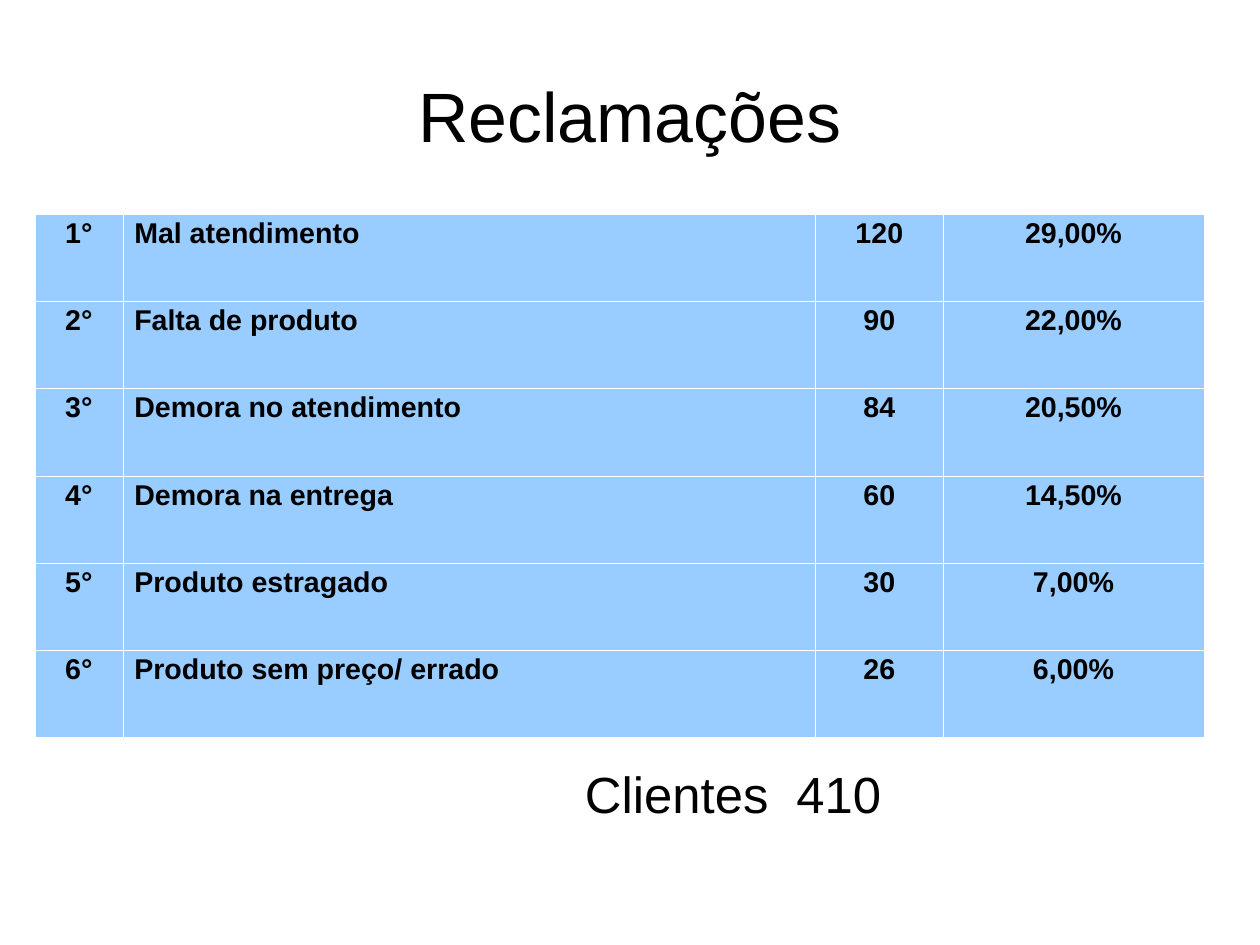
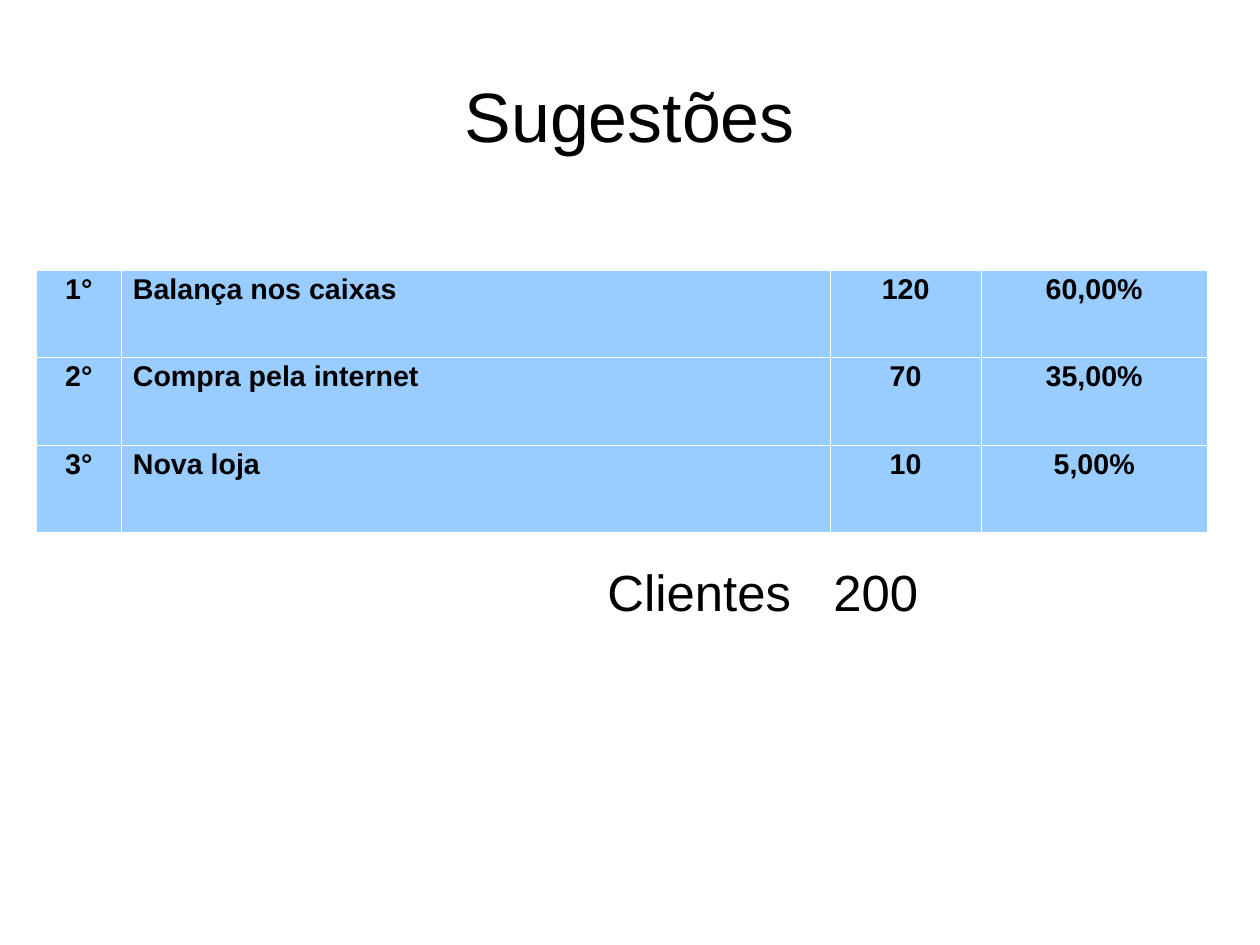
from dataclasses import dataclass

from lxml.etree import SubElement
from pptx import Presentation
from pptx.dml.color import RGBColor
from pptx.enum.text import MSO_ANCHOR, PP_ALIGN
from pptx.oxml.ns import qn
from pptx.slide import Slide
from pptx.table import _Cell
from pptx.text.text import TextFrame
from pptx.util import Cm, Pt

FONT = "Arial"
BLACK = "000000"
WHITE = "FFFFFF"
LIGHT_BLUE = "99CCFF"
SLIDE_WIDTH, SLIDE_HEIGHT = 28, 21
TITLE_LEFT, TITLE_MIDDLE = 1.4, 2.59
ROW_HEIGHT = 1.94
COLUMN_ALIGNMENTS = (PP_ALIGN.CENTER, PP_ALIGN.LEFT, PP_ALIGN.CENTER, PP_ALIGN.CENTER)


@dataclass(frozen=True)
class Entry:
    name: str
    count: int
    share: str


@dataclass(frozen=True)
class Ranking:
    """One slide; lengths are in centimetres."""
    title: str
    title_height: float
    table_left: float
    table_top: float
    column_widths: tuple[float, ...]
    entries: tuple[Entry, ...]
    total_left: float
    total_top: float
    total_tab: float


RANKINGS = (
    Ranking(
        "Reclamações", 3.25, 0.77, 4.75, (1.96, 15.39, 2.84, 5.79),
        (
            Entry("Mal atendimento", 120, "29,00%"),
            Entry("Falta de produto", 90, "22,00%"),
            Entry("Demora no atendimento", 84, "20,50%"),
            Entry("Demora na entrega", 60, "14,50%"),
            Entry("Produto estragado", 30, "7,00%"),
            Entry("Produto sem preço/ errado", 26, "6,00%"),
        ),
        11.5, 17, 4.7,
    ),
    Ranking(
        "Sugestões", 3.5, 0.8, 6, (1.9, 15.75, 3.35, 5.03),
        (
            Entry("Balança nos caixas", 120, "60,00%"),
            Entry("Compra pela internet", 70, "35,00%"),
            Entry("Nova loja", 10, "5,00%"),
        ),
        12, 12.5, 5.02,
    ),
)


def colour(value: str) -> RGBColor:
    return RGBColor.from_string(value)


def write(frame: TextFrame, text: str, *, size: float, bold: bool = False,
          align: PP_ALIGN = PP_ALIGN.LEFT, tab: float | None = None) -> None:
    """Fill the frame with one paragraph; tab is a stop in centimetres."""
    frame.word_wrap = True
    paragraph = frame.paragraphs[0]
    paragraph.text = text
    paragraph.alignment = align
    paragraph.line_spacing = 0.93
    if tab is not None:
        stops = SubElement(paragraph._p.get_or_add_pPr(), qn("a:tabLst"))
        SubElement(stops, qn("a:tab"), pos=str(Cm(tab)), algn="l")
    font = paragraph.runs[0].font
    font.name, font.size, font.bold = FONT, Pt(size), bold
    font.color.rgb = colour(BLACK)


def add_text_frame(slide: Slide, left: float, top: float, width: float, height: float,
                   *, inset_left: float = 0, inset_top: float = 0) -> TextFrame:
    frame = slide.shapes.add_textbox(Cm(left), Cm(top), Cm(width), Cm(height)).text_frame
    frame.margin_left, frame.margin_top = Cm(inset_left), Cm(inset_top)
    frame.margin_right = frame.margin_bottom = 0
    return frame


def set_borders(cell: _Cell) -> None:
    properties = cell._tc.get_or_add_tcPr()
    for side in ("lnL", "lnR", "lnT", "lnB"):
        line = SubElement(properties, qn(f"a:{side}"), w=str(Pt(0.06)))
        fill = SubElement(line, qn("a:solidFill"))
        SubElement(fill, qn("a:srgbClr"), val=WHITE)


def add_ranking_table(slide: Slide, ranking: Ranking) -> None:
    row_count = len(ranking.entries)
    table = slide.shapes.add_table(
        row_count, len(ranking.column_widths), Cm(ranking.table_left), Cm(ranking.table_top),
        Cm(sum(ranking.column_widths)), Cm(ROW_HEIGHT * row_count),
    ).table
    table.first_row = table.horz_banding = False
    for column, width in zip(table.columns, ranking.column_widths):
        column.width = Cm(width)
    for position, (row, entry) in enumerate(zip(table.rows, ranking.entries), start=1):
        row.height = Cm(ROW_HEIGHT)
        texts = (f"{position}°", entry.name, str(entry.count), entry.share)
        for cell, text, align in zip(row.cells, texts, COLUMN_ALIGNMENTS):
            write(cell.text_frame, text, size=18, bold=True, align=align)
            set_borders(cell)
            cell.fill.solid()
            cell.fill.fore_color.rgb = colour(LIGHT_BLUE)


def add_ranking_slide(presentation: Presentation, ranking: Ranking) -> None:
    slide = presentation.slides.add_slide(presentation.slide_layouts[6])
    title = add_text_frame(
        slide, TITLE_LEFT, TITLE_MIDDLE - ranking.title_height / 2,
        SLIDE_WIDTH - 2 * TITLE_LEFT, ranking.title_height, inset_top=0.1,
    )
    title.vertical_anchor = MSO_ANCHOR.MIDDLE
    write(title, ranking.title, size=44, align=PP_ALIGN.CENTER)
    add_ranking_table(slide, ranking)
    total = add_text_frame(slide, ranking.total_left, ranking.total_top, 10.5, 2.5,
                           inset_left=1.5, inset_top=0.08)
    client_count = sum(entry.count for entry in ranking.entries)
    write(total, f"Clientes\t{client_count}", size=32, tab=ranking.total_tab)


def main() -> None:
    presentation = Presentation()
    presentation.slide_width, presentation.slide_height = Cm(SLIDE_WIDTH), Cm(SLIDE_HEIGHT)
    for ranking in RANKINGS:
        add_ranking_slide(presentation, ranking)
    presentation.save("out.pptx")


if __name__ == "__main__":
    main()
